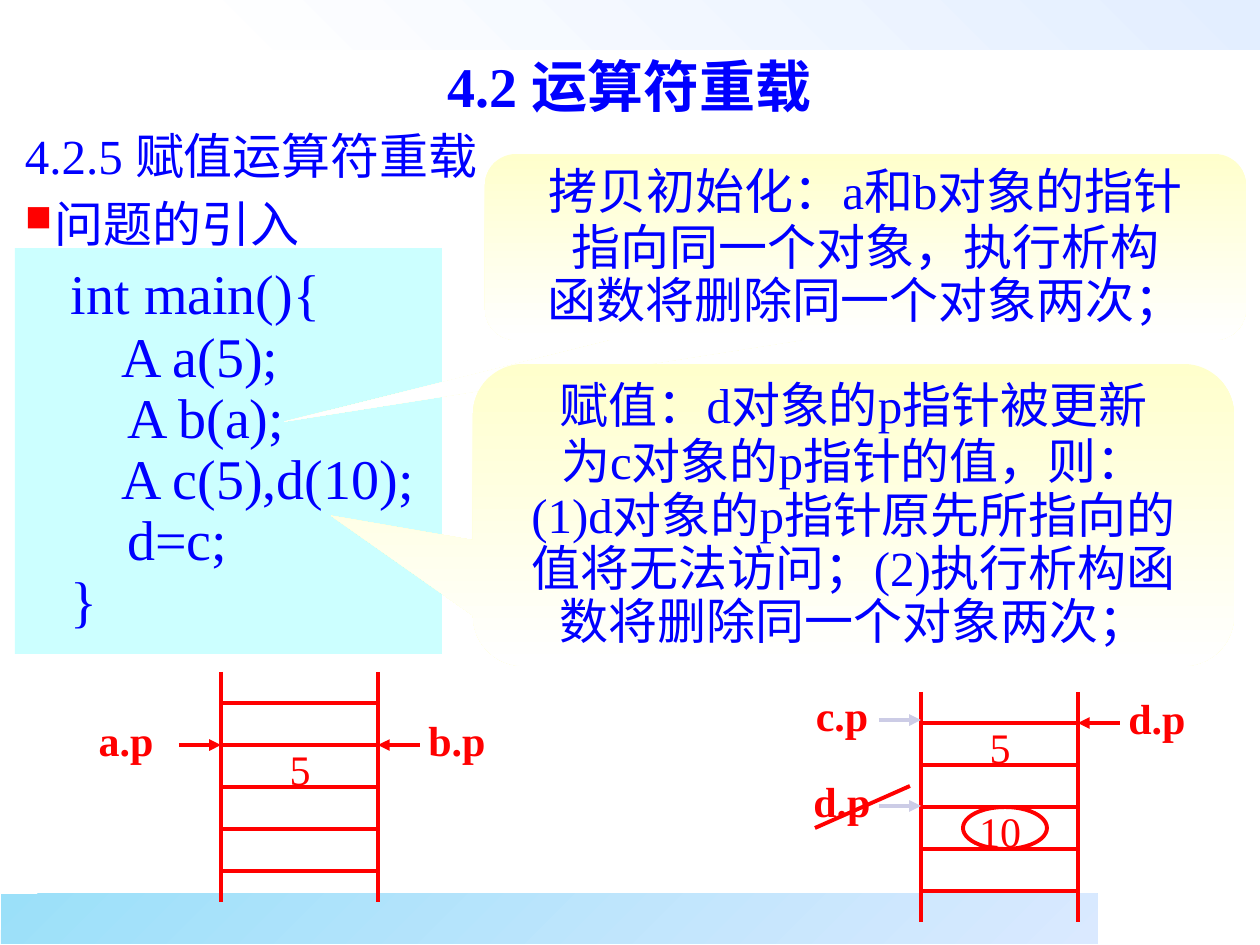
from collections import namedtuple

from lxml.etree import SubElement
from pptx import Presentation
from pptx.dml.color import RGBColor
from pptx.enum.shapes import MSO_CONNECTOR, MSO_SHAPE
from pptx.enum.text import MSO_ANCHOR, PP_ALIGN
from pptx.oxml.ns import qn
from pptx.util import Emu, Pt

EMU_PER_PX = 7257.6  # 126 px to the inch
WIDTH, HEIGHT = 1260, 945

Theme = namedtuple("Theme", "font blue red pale white code note top_bar bottom_bar "
                            "title_size body_size code_size label_size line_width")
THEME = Theme("Times New Roman", "0000FF", "FF0000", "CCCCE6", "FFFFFF", "CCFFFF", "FFFFCC",
              ("FFFFFF", "E3EEFF"), ("9BE0F9", "DAE9FF"), 32, 28, 32, 24, 2.25)

TITLE = "4.2 运算符重载"
HEADINGS = ["4.2.5 赋值运算符重载", "问题的引入"]
CODE = [
    "　int main(){",
    "　    A a(5);",
    "　　A b(a);",
    "　    A c(5),d(10);",
    "　　d=c;",
    "　}",
]
# box, tail and corner adjustments, lines
CALLOUTS = [
    ((485, 154, 761, 186), (-0.764, 0.939, 0.167), [
        "拷贝初始化：a和b对象的指针",
        "指向同一个对象，执行析构",
        "函数将删除同一个对象两次；",
    ]),
    ((473, 364, 761, 302), (-0.687, 0.002, 0.167), [
        "赋值：d对象的p指针被更新",
        "为c对象的p指针的值，则：",
        "(1)d对象的p指针原先所指向的",
        "值将无法访问；(2)执行析构函",
        "数将删除同一个对象两次；",
    ]),
]
# values by row; pointers as (name, label left, arrow y, side, arrow colour)
MEMORIES = [
    dict(left=221, top=672, values={1: "5"}, pointers=[
        ("a.p", 68, 745, "left", THEME.red),
        ("b.p", 399, 745, "right", THEME.red),
    ]),
    dict(left=921, top=692, values={0: "5", 2: "10"}, pointers=[
        ("c.p", 784, 720, "left", THEME.pale),
        ("d.p", 784, 806, "left", THEME.pale),
        ("d.p", 1099, 723, "right", THEME.red),
    ]),
]
MEMORY_WIDTH, MEMORY_HEIGHT = 157, 230
ROW_LINES, FIRST_ROW, ROW = 5, 31, 42
LABEL_WIDTH, LABEL_HEIGHT = 116, 60
ARROW = 42


def px(length):
    return Emu(round(length * EMU_PER_PX))


def rgb(code):
    return RGBColor.from_string(code)


def add_box(slide, kind, box, fill=None, angle=0, line=None):
    """Add a preset shape; a pair of colours as fill makes a gradient."""
    shape = slide.shapes.add_shape(kind, *map(px, box))
    shape.shadow.inherit = False
    if fill is None:
        shape.fill.background()
    elif isinstance(fill, tuple):
        shape.fill.gradient()
        shape.fill.gradient_angle = angle
        for stop, colour in zip(shape.fill.gradient_stops, fill):
            stop.color.rgb = rgb(colour)
    else:
        shape.fill.solid()
        shape.fill.fore_color.rgb = rgb(fill)
    if line:
        shape.line.color.rgb = rgb(line)
        shape.line.width = Pt(THEME.line_width)
    else:
        shape.line.fill.background()
    return shape


def write(shape, lines, size, colour, spacing, before=0, align=PP_ALIGN.LEFT,
          anchor=MSO_ANCHOR.MIDDLE, bold=False, margins=(0, 0), wrap=True):
    """Fill a shape with paragraphs; spacing is (first line, other lines)."""
    frame = shape.text_frame
    frame.word_wrap = wrap
    frame.vertical_anchor = anchor
    frame.margin_left = frame.margin_right = px(margins[0])
    frame.margin_top = frame.margin_bottom = px(margins[1])
    frame.text = "\n".join(lines)
    for index, paragraph in enumerate(frame.paragraphs):
        paragraph.alignment = align
        paragraph.line_spacing = spacing[min(index, 1)]
        if index:
            paragraph.space_before = Pt(before)
        for run in paragraph.runs:
            run.font.name = THEME.font
            run.font.size = Pt(size)
            run.font.bold = bold
            run.font.color.rgb = rgb(colour)
    return frame


def add_text(slide, box, *args, **options):
    return write(slide.shapes.add_textbox(*map(px, box)), *args, **options)


def add_bullet(paragraph, indent):
    properties = paragraph._p.get_or_add_pPr()
    properties.set("marL", str(px(indent)))
    properties.set("indent", str(-px(indent)))
    colour = SubElement(properties, qn("a:buClr"))
    SubElement(colour, qn("a:srgbClr"), val=THEME.red)
    SubElement(properties, qn("a:buSzPct"), val="75000")
    SubElement(properties, qn("a:buChar"), char="■")


def add_line(slide, start, end, colour=THEME.red, arrow=False):
    line = slide.shapes.add_connector(MSO_CONNECTOR.STRAIGHT, *map(px, start + end))
    line.line.color.rgb = rgb(colour)
    line.line.width = Pt(THEME.line_width)
    if arrow:
        SubElement(line.line._get_or_add_ln(), qn("a:tailEnd"), type="triangle")
    SubElement(line._element.spPr, qn("a:effectLst"))


def add_label(slide, left, top, label, bold=False):
    add_text(slide, (left, top, LABEL_WIDTH, LABEL_HEIGHT), [label], THEME.label_size,
             THEME.red, (1.2,), align=PP_ALIGN.CENTER, bold=bold)


def add_memory(slide, left, top, values, pointers):
    right, bottom = left + MEMORY_WIDTH, top + MEMORY_HEIGHT
    for x in (left, right):
        add_line(slide, (x, top), (x, bottom))
    for row in range(ROW_LINES):
        y = top + FIRST_ROW + row * ROW
        add_line(slide, (left, y), (right, y))
    for row, value in values.items():
        add_label(slide, left + 21, top + 20 + row * ROW, value)
    for name, label_left, y, side, colour in pointers:
        start, end = (left - ARROW, left) if side == "left" else (right + ARROW, right)
        add_line(slide, (start, y), (end, y), colour, arrow=True)
        add_label(slide, label_left, y - 40, name, bold=True)


def main():
    deck = Presentation()
    deck.slide_width, deck.slide_height = px(WIDTH), px(HEIGHT)
    slide = deck.slides.add_slide(deck.slide_layouts[6])

    add_box(slide, MSO_SHAPE.RECTANGLE, (194, 0, 1066, 50), THEME.top_bar, 45)
    add_box(slide, MSO_SHAPE.RECTANGLE, (1, 894, 1097, 50), THEME.bottom_bar, 315)

    headings = add_text(slide, (25, 117, 1235, 135), HEADINGS, THEME.body_size, THEME.blue,
                        (1.15, 1.15), anchor=MSO_ANCHOR.TOP)
    add_bullet(headings.paragraphs[1], 30)

    code = add_box(slide, MSO_SHAPE.RECTANGLE, (15, 248, 427, 406), THEME.code)
    write(code, CODE, THEME.code_size, THEME.blue, (0.8, 0.7), before=8)

    for box, adjustments, lines in CALLOUTS:
        callout = add_box(slide, MSO_SHAPE.ROUNDED_RECTANGULAR_CALLOUT, box,
                          (THEME.note, THEME.white), 270)
        for index, value in enumerate(adjustments):
            callout.adjustments[index] = value
        write(callout, lines, THEME.body_size, THEME.blue, (0.9, 0.7), before=7,
              align=PP_ALIGN.CENTER, margins=(13, 6), wrap=False)

    for memory in MEMORIES:
        add_memory(slide, **memory)
    add_line(slide, (910, 786), (815, 828))
    add_box(slide, MSO_SHAPE.OVAL, (963, 807, 84, 42), line=THEME.red)

    add_text(slide, (0, 45, WIDTH, 81), [TITLE], THEME.title_size, THEME.blue, (1.0,),
             align=PP_ALIGN.CENTER, bold=True, margins=(13, 6))
    deck.save("out.pptx")


if __name__ == "__main__":
    main()
